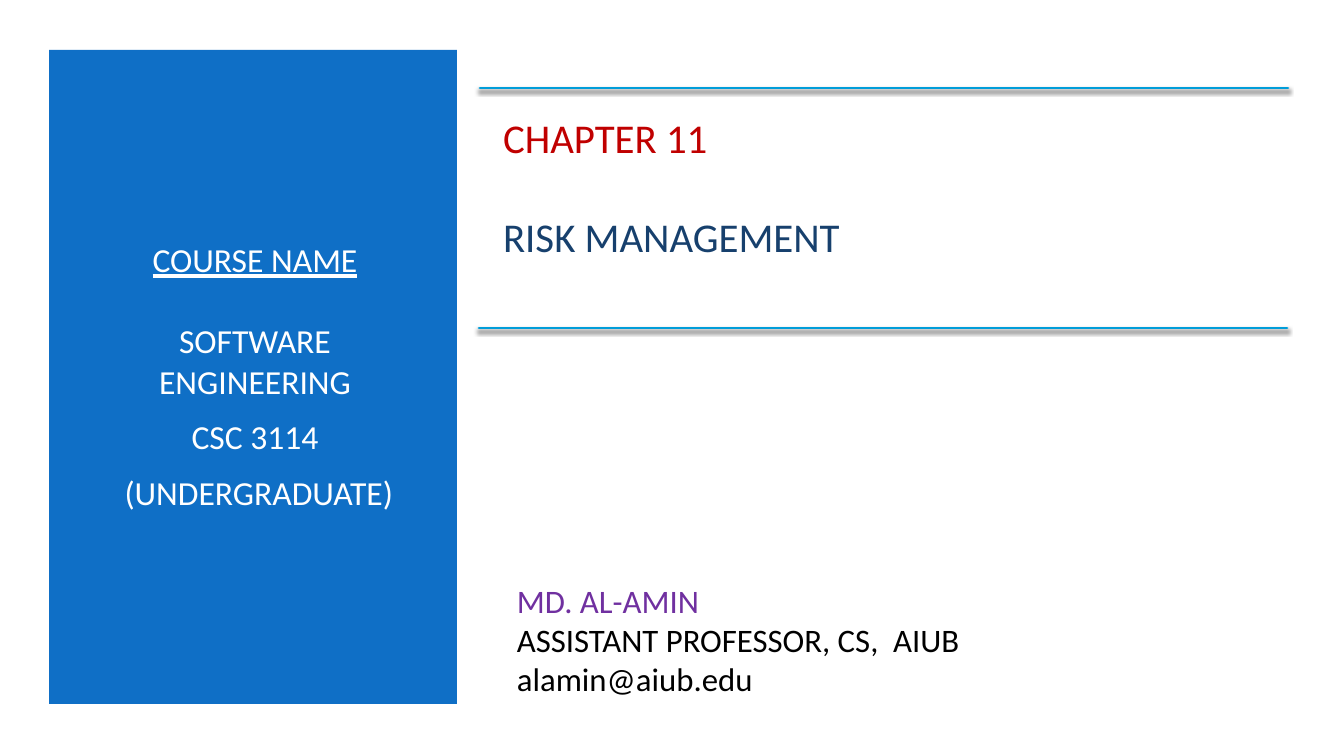
from dataclasses import dataclass

from lxml import etree
from pptx import Presentation
from pptx.dml.color import RGBColor
from pptx.enum.shapes import MSO_CONNECTOR, MSO_SHAPE
from pptx.enum.text import MSO_ANCHOR, MSO_AUTO_SIZE, PP_ALIGN
from pptx.oxml import parse_xml
from pptx.oxml.ns import nsdecls
from pptx.util import Pt

EMU_PER_PX = 914400 / 100.8
FONT = "Calibri"
COLORS = {
    "white": "FFFFFF",
    "panel": "0F6FC6",
    "rule": "009DD9",
    "chapter": "C00000",
    "topic": "17406D",
    "author": "7030A0",
    "black": "000000",
}


@dataclass(frozen=True)
class Para:
    text: str
    color: str
    before: float = 0
    after: float = 0
    underline: bool = False


@dataclass(frozen=True)
class Rule:
    x: int
    y: int
    width: int = 808


TITLE = [
    Para("CHAPTER 11", "chapter"),
    Para("RISK MANAGEMENT", "topic", before=35.6),
]
COURSE = [
    Para("COURSE NAME", "white", before=4.8, underline=True),
    Para("SOFTWARE ENGINEERING", "white", before=29.3, after=6),
    Para("CSC 3114", "white", before=4.8, after=6),
    Para(" (UNDERGRADUATE)", "white", before=4.8, after=6),
]
AUTHOR = [
    Para("MD. AL-AMIN", "author"),
    Para("ASSISTANT PROFESSOR, CS,  AIUB", "black"),
    Para("alamin@aiub.edu", "black"),
]
RULES = [Rule(480, 88), Rule(479, 328)]


def px(n: int) -> int:
    return round(n * EMU_PER_PX)


def rgb(name: str) -> RGBColor:
    return RGBColor.from_string(COLORS[name])


def place(sp, x: int, y: int, w: int, h: int) -> None:
    sp.left, sp.top, sp.width, sp.height = px(x), px(y), px(w), px(h)


def write(sp, paras: list[Para], size: float, align=PP_ALIGN.LEFT) -> None:
    """Fill a text shape with vertically centred paragraphs."""
    tf = sp.text_frame
    tf.word_wrap = True
    tf.auto_size = MSO_AUTO_SIZE.NONE
    tf.vertical_anchor = MSO_ANCHOR.MIDDLE
    for i, para in enumerate(paras):
        p = tf.add_paragraph() if i else tf.paragraphs[0]
        p.text = para.text
        p.alignment = align
        p.space_before, p.space_after = Pt(para.before), Pt(para.after)
        p.font.name, p.font.size = FONT, Pt(size)
        p.font.underline = para.underline
        p.font.color.rgb = rgb(para.color)


def add_rule(s, rule: Rule) -> None:
    """Draw a horizontal line with a soft shadow below it."""
    line = s.shapes.add_connector(MSO_CONNECTOR.STRAIGHT, px(rule.x), px(rule.y),
                                  px(rule.x + rule.width), px(rule.y))
    line.line.color.rgb = rgb("rule")
    line.line.width = Pt(2)
    line.line._get_or_add_ln().set("cap", "rnd")
    effects = parse_xml(f"<a:effectLst {nsdecls('a')}/>")
    shadow = etree.SubElement(
        effects, effects.tag.replace("effectLst", "outerShdw"),
        blurRad=str(Pt(3)), dist=str(Pt(2)), dir="5400000", rotWithShape="0")
    color = etree.SubElement(
        shadow, shadow.tag.replace("outerShdw", "srgbClr"), val=COLORS["black"])
    etree.SubElement(color, color.tag.replace("srgbClr", "alpha"), val="55000")
    line._element.spPr.append(effects)


def main() -> None:
    prs = Presentation()
    prs.slide_width, prs.slide_height = px(1344), px(756)
    s = prs.slides.add_slide(prs.slide_layouts[5])
    s.background.fill.solid()
    s.background.fill.fore_color.rgb = rgb("white")

    panel = s.shapes.add_shape(MSO_SHAPE.RECTANGLE, px(49), px(50), px(408), px(654))
    panel.shadow.inherit = False
    panel.fill.solid()
    panel.fill.fore_color.rgb = rgb("panel")
    panel.line.fill.background()

    course = s.shapes.add_textbox(px(85), px(111), px(340), px(529))
    write(course, COURSE, 24, PP_ALIGN.CENTER)

    title = s.shapes.title
    place(title, 493, 111, 791, 152)
    write(title, TITLE, 29.2)

    for rule in RULES:
        add_rule(s, rule)

    author = s.shapes.add_textbox(px(507), px(561), px(671), px(157))
    write(author, AUTHOR, 23.4)

    prs.save("out.pptx")


if __name__ == "__main__":
    main()
